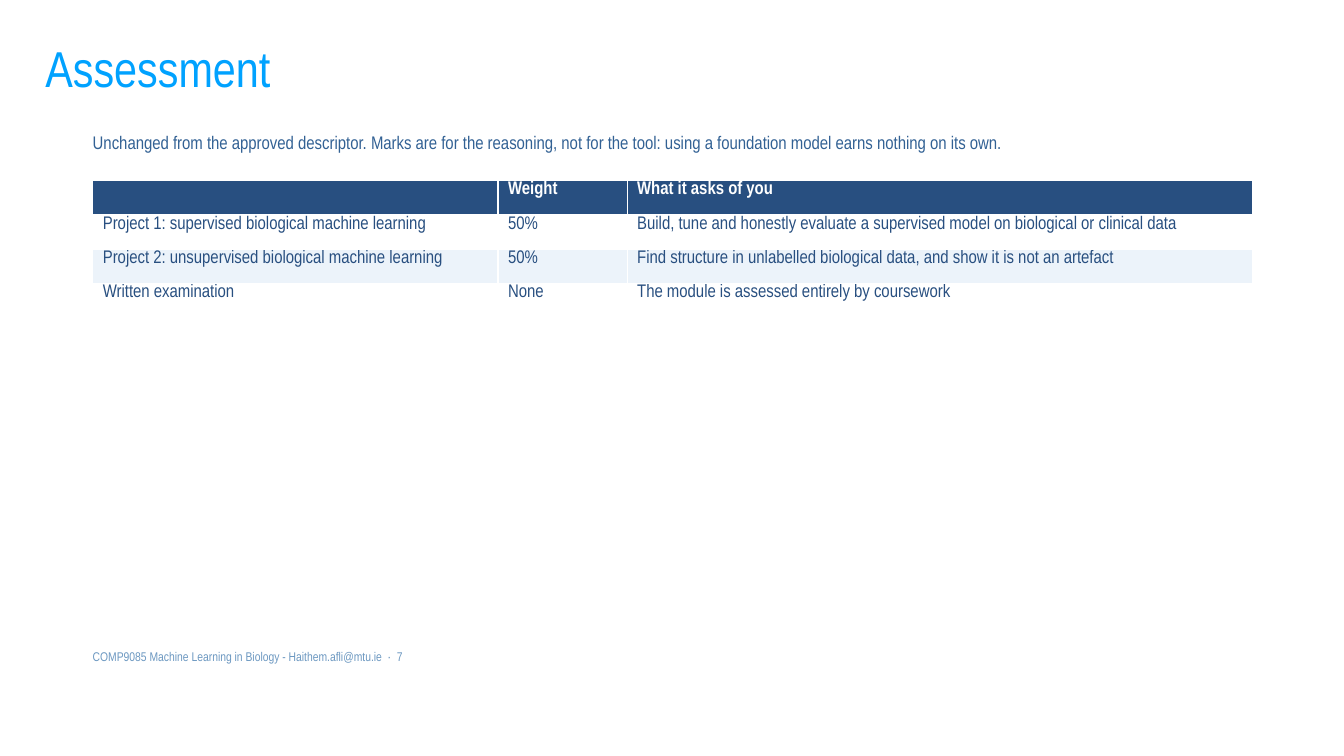
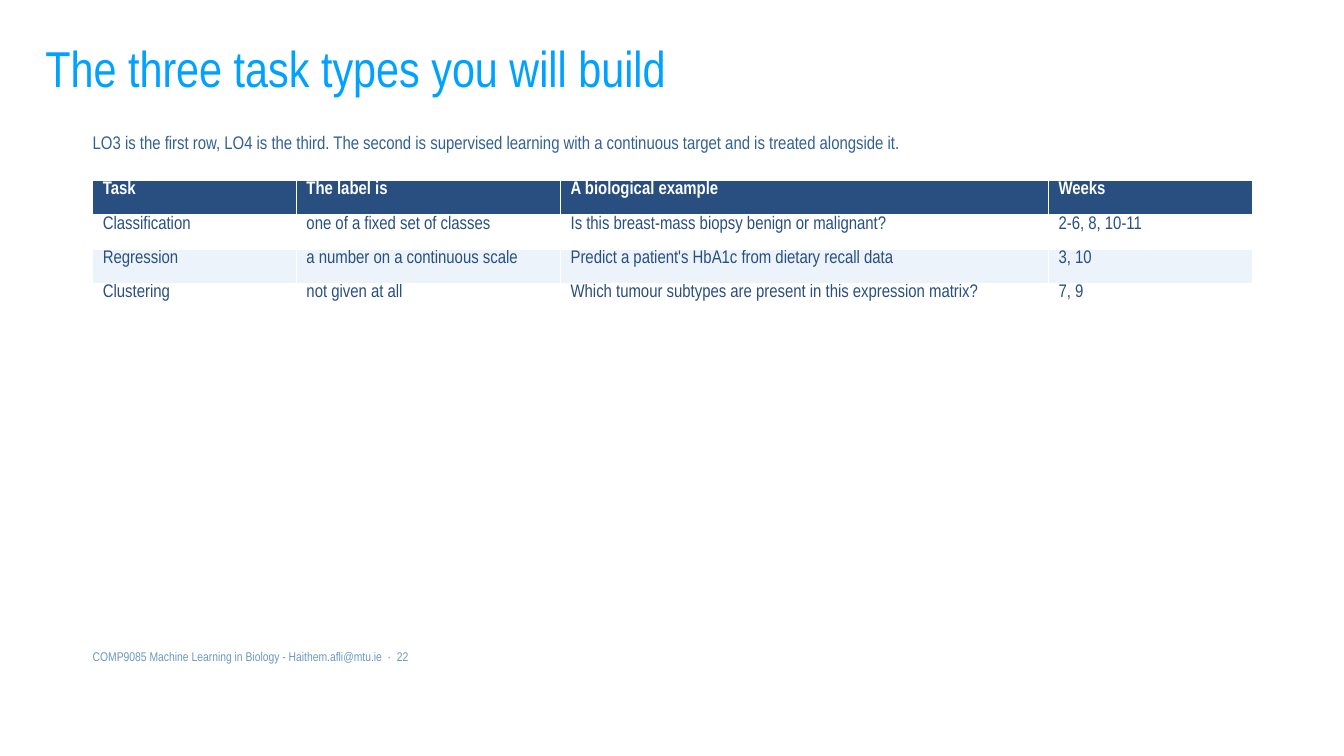
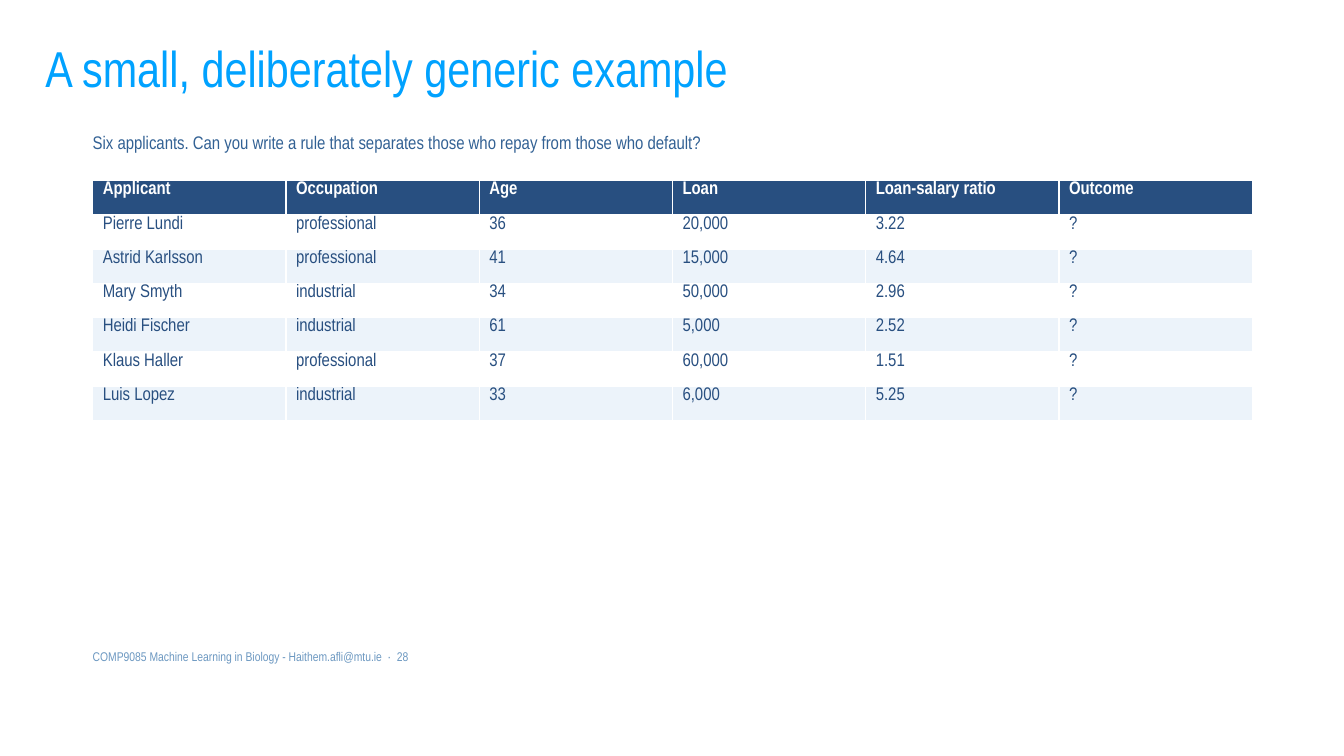
from pptx import Presentation
from pptx import util as u
from pptx.dml import color
from pptx.enum import text

PX = 9144  # EMU per px, 100 px to the inch
FONT = "Arial Narrow"
LINE_SPACING = 0.9  # titles and table cells
NAVY, STRIPE, WHITE = "284F80", "ECF3FA", "FFFFFF"
TITLE_BLUE, LEAD_BLUE, FOOTER_BLUE = "00A2FF", "326194", "6C98C1"

# Regions shared by every slide: left, top, width, height
SLIDE_W, SLIDE_H = 1333, 750
TITLE_BOX = (35, 16, 920, 110)
LEAD_BOX = (92, 130, 1150, 34)
TABLE_BOX = (92, 179, 1150)
FOOTER_BOX = (92, 644, 730, 26)
ROW_H = 34
FOOTER = "COMP9085 Machine Learning in Biology - Haithem.afli@mtu.ie  ·  {}"

TITLE_STYLE = {"size": u.Pt(36), "bold": False, "color": TITLE_BLUE}
LEAD_STYLE = {"size": u.Pt(13), "color": LEAD_BLUE}
FOOTER_STYLE = {"size": u.Pt(9), "color": FOOTER_BLUE}
HEAD_STYLE = {"size": u.Pt(13), "bold": True, "color": WHITE}
CELL_STYLE = {"size": u.Pt(13), "bold": False, "color": NAVY}
FLUSH = {"margin_left": 0, "margin_top": 0, "margin_right": 0, "margin_bottom": 0}
CELL_MARGINS = {"margin_left": 10, "margin_top": 2, "margin_right": 10, "margin_bottom": 2}

SLIDES = [
    {
        "title": "Assessment",
        "page": 7,
        "lead": "Unchanged from the approved descriptor. Marks are for the reasoning, "
                "not for the tool: using a foundation model earns nothing on its own.",
        "columns": [402, 128, 620],
        "rows": [
            ("", "Weight", "What it asks of you"),
            ("Project 1: supervised biological machine learning", "50%",
             "Build, tune and honestly evaluate a supervised model on biological or clinical data"),
            ("Project 2: unsupervised biological machine learning", "50%",
             "Find structure in unlabelled biological data, and show it is not an artefact"),
            ("Written examination", "None", "The module is assessed entirely by coursework"),
        ],
    },
    {
        "title": "The three task types you will build",
        "page": 22,
        "lead": "LO3 is the first row, LO4 is the third. The second is supervised learning "
                "with a continuous target and is treated alongside it.",
        "columns": [202, 262, 484, 202],
        "rows": [
            ("Task", "The label is", "A biological example", "Weeks"),
            ("Classification", "one of a fixed set of classes",
             "Is this breast-mass biopsy benign or malignant?", "2-6, 8, 10-11"),
            ("Regression", "a number on a continuous scale",
             "Predict a patient's HbA1c from dietary recall data", "3, 10"),
            ("Clustering", "not given at all",
             "Which tumour subtypes are present in this expression matrix?", "7, 9"),
        ],
    },
    {
        "title": "A small, deliberately generic example",
        "page": 28,
        "lead": "Six applicants. Can you write a rule that separates those who repay "
                "from those who default?",
        "columns": [TABLE_BOX[2] / 6] * 6,
        "rows": [
            ("Applicant", "Occupation", "Age", "Loan", "Loan-salary ratio", "Outcome"),
            ("Pierre Lundi", "professional", "36", "20,000", "3.22", "?"),
            ("Astrid Karlsson", "professional", "41", "15,000", "4.64", "?"),
            ("Mary Smyth", "industrial", "34", "50,000", "2.96", "?"),
            ("Heidi Fischer", "industrial", "61", "5,000", "2.52", "?"),
            ("Klaus Haller", "professional", "37", "60,000", "1.51", "?"),
            ("Luis Lopez", "industrial", "33", "6,000", "5.25", "?"),
        ],
    },
]


def px(length):
    return u.Emu(round(length * PX))


def rgb(hex_code):
    return color.RGBColor.from_string(hex_code)


def apply(target, values):
    for key, value in values.items():
        setattr(target, key, value)


def write(paragraph, words, style):
    """Add one run in the deck font with the given style."""
    if not words:
        return
    run = paragraph.add_run()
    run.text = words
    apply(run.font, {"name": FONT, **{k: v for k, v in style.items() if k != "color"}})
    run.font.color.rgb = rgb(style["color"])


def add_title(slide, box, words):
    heading = slide.shapes.title
    apply(heading, dict(zip(("left", "top", "width", "height"), map(px, box))))
    apply(heading.text_frame, {"word_wrap": True,
                               "auto_size": text.MSO_AUTO_SIZE.NONE,
                               "vertical_anchor": text.MSO_ANCHOR.MIDDLE})
    line = heading.text_frame.paragraphs[0]
    apply(line, {"alignment": text.PP_ALIGN.LEFT, "line_spacing": LINE_SPACING})
    write(line, words, TITLE_STYLE)


def add_line(slide, box, words, style):
    frame = slide.shapes.add_textbox(*map(px, box)).text_frame
    apply(frame, {"word_wrap": True, "auto_size": text.MSO_AUTO_SIZE.SHAPE_TO_FIT_TEXT, **FLUSH})
    write(frame.paragraphs[0], words, style)


def add_grid(slide, box, columns, rows):
    """Table with a dark header row and striped body rows."""
    left, top, width = box
    grid = slide.shapes.add_table(len(rows), len(columns), px(left), px(top),
                                  px(width), px(ROW_H * len(rows))).table
    for column, column_w in zip(grid.columns, columns):
        column.width = px(column_w)
    for r, entries in enumerate(rows):
        fill = NAVY if r == 0 else WHITE if r % 2 else STRIPE
        style = HEAD_STYLE if r == 0 else CELL_STYLE
        for c, words in enumerate(entries):
            cell = grid.cell(r, c)
            apply(cell, {side: px(gap) for side, gap in CELL_MARGINS.items()})
            cell.fill.solid()
            cell.fill.fore_color.rgb = rgb(fill)
            entry = cell.text_frame.paragraphs[0]
            entry.line_spacing = LINE_SPACING
            write(entry, words, style)


def add_table_slide(deck, content):
    slide = deck.slides.add_slide(deck.slide_layouts.get_by_name("Title Only"))
    add_title(slide, TITLE_BOX, content["title"])
    add_line(slide, LEAD_BOX, content["lead"], LEAD_STYLE)
    add_line(slide, FOOTER_BOX, FOOTER.format(content["page"]), FOOTER_STYLE)
    add_grid(slide, TABLE_BOX, content["columns"], content["rows"])


def main():
    deck = Presentation()
    apply(deck, {"slide_width": px(SLIDE_W), "slide_height": px(SLIDE_H)})
    for content in SLIDES:
        add_table_slide(deck, content)
    deck.save("out.pptx")


if __name__ == "__main__":
    main()
